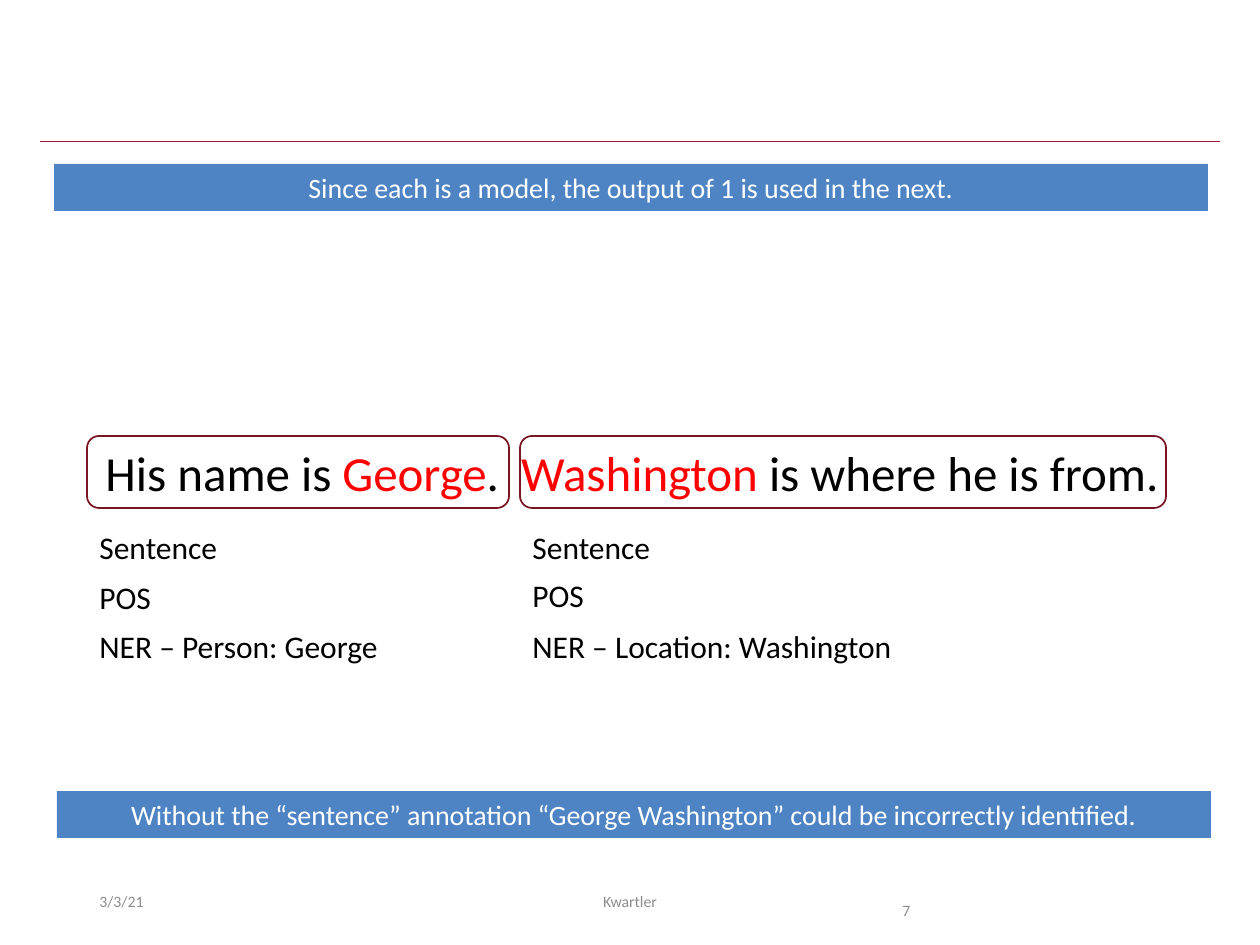
from pptx import Presentation, util as u
from pptx.dml.color import RGBColor
from pptx.enum import shapes, text
from pptx.oxml.ns import qn
from lxml import etree

SCALE = u.Inches(1) / 126
BLACK, RED, GREY, WHITE = "000000", "FF0000", "8C8C8C", "FFFFFF"
BLUE, CRIMSON, MAROON = "4E84C4", "A51C30", "7A1524"


def px(*lengths):
    return [round(length * SCALE) for length in lengths]


def colour(value):
    return RGBColor.from_string(value)


class Slide:
    font = "Calibri"

    def __init__(self, deck):
        self.page = deck.slides.add_slide(deck.slide_layouts[6])

    def fill_text(self, box, runs, size, frame_format=None, para_format=None):
        frame = box.text_frame
        para = frame.paragraphs[0]
        for target, values in ((frame, frame_format), (para, para_format)):
            for name, value in (values or {}).items():
                setattr(target, name, value)
        for words, shade in runs:
            span = para.add_run()
            span.text = words
            for name, value in {"name": self.font, "size": u.Pt(size)}.items():
                setattr(span.font, name, value)
            span.font.color.rgb = colour(shade)

    def label(self, place, runs, size):
        box = self.page.shapes.add_textbox(*px(*place))
        self.fill_text(box, runs, size, {
            "word_wrap": False,
            "auto_size": text.MSO_AUTO_SIZE.SHAPE_TO_FIT_TEXT,
        })

    def footer(self, place, words, anchor=text.MSO_ANCHOR.MIDDLE, **para_format):
        box = self.page.shapes.add_textbox(*px(*place))
        self.fill_text(box, [(words, GREY)], 9,
                       {"word_wrap": True, "vertical_anchor": anchor}, para_format)

    def banner(self, place, words):
        box = self.page.shapes.add_shape(shapes.MSO_SHAPE.RECTANGLE, *px(*place))
        box.shadow.inherit = False
        box.fill.solid()
        box.fill.fore_color.rgb = colour(BLUE)
        box.line.fill.background()
        self.fill_text(box, [(words, WHITE)], 16, {
            "word_wrap": True,
            "vertical_anchor": text.MSO_ANCHOR.TOP,
            "auto_size": text.MSO_AUTO_SIZE.SHAPE_TO_FIT_TEXT,
        }, {"alignment": text.PP_ALIGN.CENTER})

    def outline(self, place):
        box = self.page.shapes.add_shape(
            shapes.MSO_SHAPE.ROUNDED_RECTANGLE, *px(*place))
        box.shadow.inherit = False
        box.fill.background()
        box.line.color.rgb = colour(MAROON)
        box.line.width = u.Pt(1)

    def rule(self, left, right, top):
        line = self.page.shapes.add_connector(
            shapes.MSO_CONNECTOR.STRAIGHT, *px(left, top, right, top))
        line.line.color.rgb = colour(CRIMSON)
        line.line.width = u.Pt(0.5)
        etree.SubElement(line._element.spPr, qn("a:effectLst"))


def main():
    deck = Presentation()
    deck.slide_width, deck.slide_height = px(1260, 945)
    slide = Slide(deck)

    slide.rule(40, 1220, 141)
    slide.footer((87, 876, 284, 50), "3/3/21")
    slide.footer((890, 876, 118, 50), "7", text.MSO_ANCHOR.TOP, line_spacing=2.0)
    slide.footer((417, 876, 426, 50), "Kwartler", alignment=text.PP_ALIGN.CENTER)

    slide.banner((57, 791, 1154, 47), "Without the “sentence” annotation "
                 "“George Washington” could be incorrectly identified.")
    slide.label((93, 436, 1090, 72), [
        ("His name is ", BLACK), ("George", RED), (".  ", BLACK),
        ("Washington", RED), (" is where he is from.", BLACK)], 28)
    slide.banner((54, 164, 1154, 47),
                 "Since each is a model, the output of 1 is used in the next.")

    columns = [
        (87, 422, 572, "NER – Person: George", 307),
        (520, 646, 570, "NER – Location: Washington", 389),
    ]
    for left, width, *_ in columns:
        slide.outline((left, 436, width, 72))
    for left, _, pos_top, entity, entity_width in columns:
        for top, words, width in ((522, "Sentence", 145), (pos_top, "POS", 77),
                                  (621, entity, entity_width)):
            slide.label((left, top, width, 50), [(words, BLACK)], 18)

    deck.save("out.pptx")


if __name__ == "__main__":
    main()
